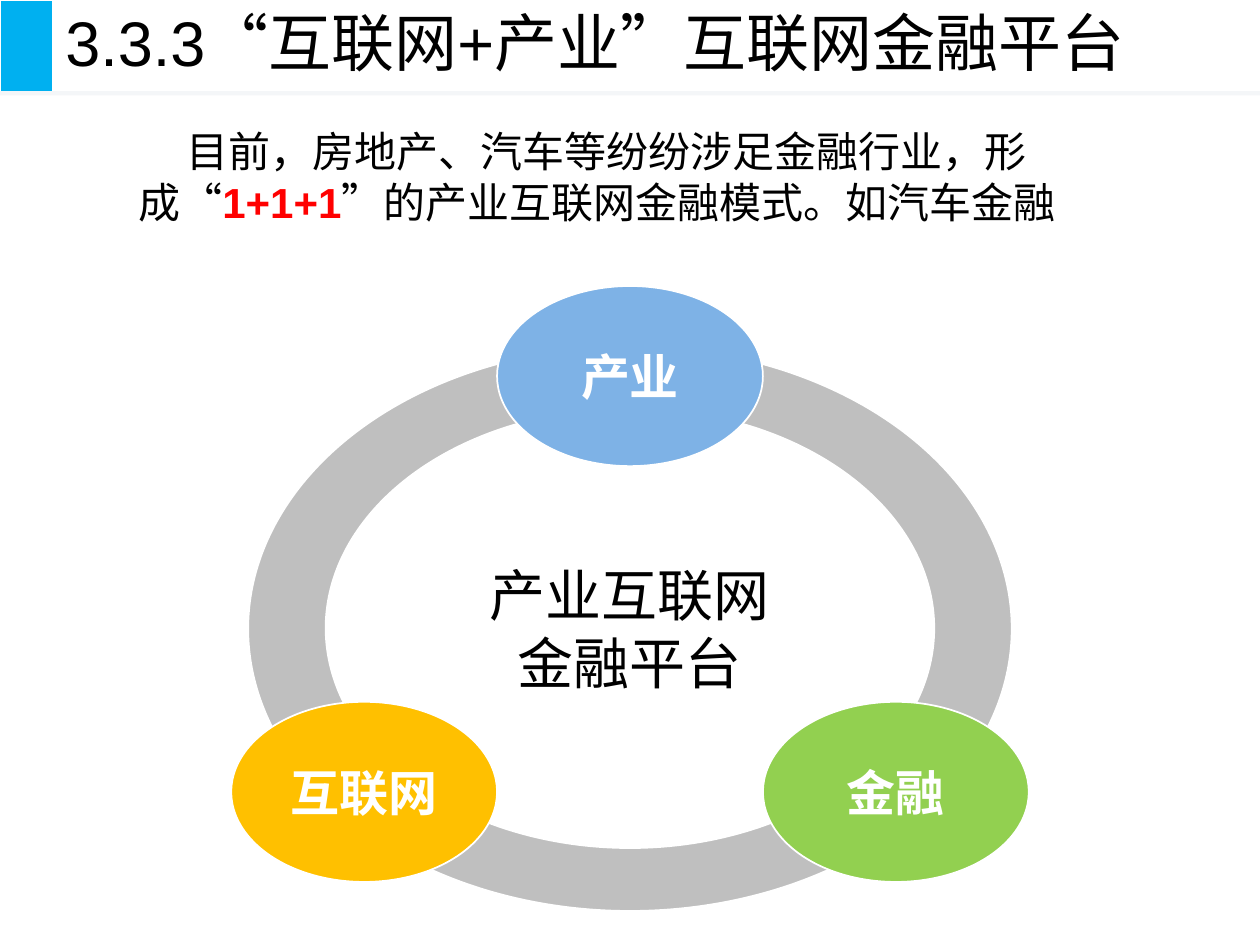
from dataclasses import dataclass

from lxml import etree
from pptx import Presentation
from pptx.dml.color import RGBColor
from pptx.enum.lang import MSO_LANGUAGE_ID
from pptx.enum.shapes import MSO_CONNECTOR, MSO_SHAPE
from pptx.enum.text import MSO_ANCHOR, PP_ALIGN
from pptx.oxml.ns import qn
from pptx.util import Inches, Pt

RECTANGLE, OVAL = MSO_SHAPE.RECTANGLE, MSO_SHAPE.OVAL
STRAIGHT = MSO_CONNECTOR.STRAIGHT
MIDDLE, CENTER = MSO_ANCHOR.MIDDLE, PP_ALIGN.CENTER
CHINESE = MSO_LANGUAGE_ID.SIMPLIFIED_CHINESE
FONT = "Arial"
COLORS = {
    "white": "FFFFFF", "black": "000000", "red": "FF0000", "accent": "00B0F0",
    "rule": "CCD2DD", "ring": "BFBFBF", "blue": "7EB2E6", "green": "92D050",
    "yellow": "FFC000",
}
CENTER_X = 5
RING_TOP, HOLE_TOP = 2.75, 3.24
NODE_WIDTH, NODE_HEIGHT = 2.11, 1.43
NODE_OFFSET = NODE_WIDTH
UPPER_NODE_TOP, LOWER_NODE_TOP = 2.27, 5.57


@dataclass(frozen=True)
class Ellipse:
    center_x: float
    top: float
    width: float
    height: float
    color: str
    text: str = ""
    size: int = 28
    text_color: str = "white"
    bold: bool = True


ELLIPSES = [
    Ellipse(CENTER_X, RING_TOP, 6.06, 4.48, "ring"),
    Ellipse(CENTER_X, HOLE_TOP, 4.83, 3.49, "white",
            "产业互联网\n金融平台", 32, "black", False),
    Ellipse(CENTER_X, UPPER_NODE_TOP, NODE_WIDTH, NODE_HEIGHT, "blue", "产业"),
    Ellipse(CENTER_X + NODE_OFFSET, LOWER_NODE_TOP, NODE_WIDTH, NODE_HEIGHT, "green", "金融"),
    Ellipse(CENTER_X - NODE_OFFSET, LOWER_NODE_TOP, NODE_WIDTH, NODE_HEIGHT, "yellow", "互联网"),
]


def rgb(name: str) -> RGBColor:
    return RGBColor.from_string(COLORS[name])


def style_span(span, size: int, color: str = "black", bold: bool = False) -> None:
    font = span.font
    font.name, font.size, font.bold = FONT, Pt(size), bold
    font.color.rgb = rgb(color)
    font.language_id = CHINESE


def add_filled(page, kind, left: float, top: float, width: float, height: float, color: str):
    shape = page.shapes.add_shape(kind, Inches(left), Inches(top), Inches(width), Inches(height))
    shape.shadow.inherit = False
    shape.fill.solid()
    shape.fill.fore_color.rgb = rgb(color)
    shape.line.color.rgb = rgb("white")
    shape.line.width = Pt(1)
    return shape


def add_ellipse(page, item: Ellipse) -> None:
    shape = add_filled(page, OVAL, item.center_x - item.width / 2, item.top,
                       item.width, item.height, item.color)
    if not item.text:
        return
    frame = shape.text_frame
    frame.text = item.text
    frame.vertical_anchor = MIDDLE
    for para in frame.paragraphs:
        para.alignment = CENTER
        for span in para.runs:
            style_span(span, item.size, item.text_color, item.bold)


def add_text_box(page, left: float, top: float, width: float, height: float):
    box = page.shapes.add_textbox(Inches(left), Inches(top), Inches(width), Inches(height))
    box.text_frame.word_wrap = True
    return box.text_frame


def add_header(page) -> None:
    add_filled(page, RECTANGLE, 0, 0, 0.42, 0.73, "accent")
    rule = page.shapes.add_connector(STRAIGHT, 0, Inches(0.74), Inches(10), Inches(0.74))
    rule.line.color.rgb = rgb("rule")
    rule.line.width = Pt(2.5)
    properties = rule._element.spPr
    etree.SubElement(properties, qn("a:effectLst"))
    color = properties.find(".//" + qn("a:srgbClr"))
    etree.SubElement(color, qn("a:alpha")).set("val", "20000")

    frame = add_text_box(page, 0.42, 0, 9.58, 0.73)
    frame.vertical_anchor = MIDDLE
    frame.text = "3.3.3“互联网+产业”互联网金融平台"
    para = frame.paragraphs[0]
    para.line_spacing = 0.9
    style_span(para.runs[0], 36)


def add_introduction(page) -> None:
    para = add_text_box(page, 1, 0.95, 8.16, 0.91).paragraphs[0]
    para._p.get_or_add_pPr().set("indent", str(Inches(0.38)))
    for text, color, bold in (
        ("目前，房地产、汽车等纷纷涉足金融行业，形成“", "black", False),
        ("1+1+1", "red", True),
        ("”的产业互联网金融模式。如汽车金融", "black", False),
    ):
        span = para.add_run()
        span.text = text
        style_span(span, 24, color, bold)


def main() -> None:
    deck = Presentation()
    deck.slide_width, deck.slide_height = Inches(10), Inches(7.5)
    page = deck.slides.add_slide(deck.slide_layouts[6])
    add_header(page)
    for item in ELLIPSES:
        add_ellipse(page, item)
    add_introduction(page)
    deck.save("out.pptx")


if __name__ == "__main__":
    main()
